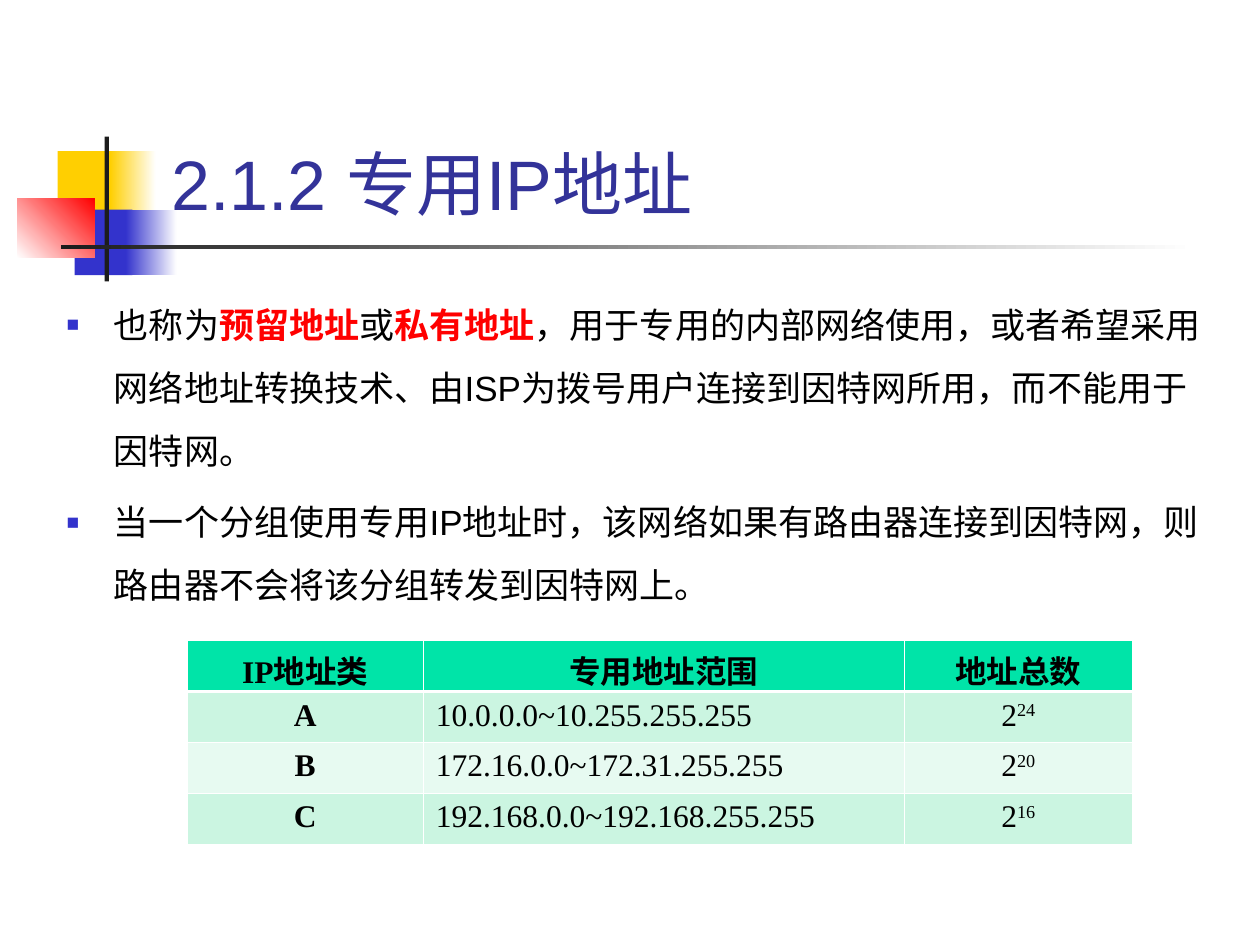
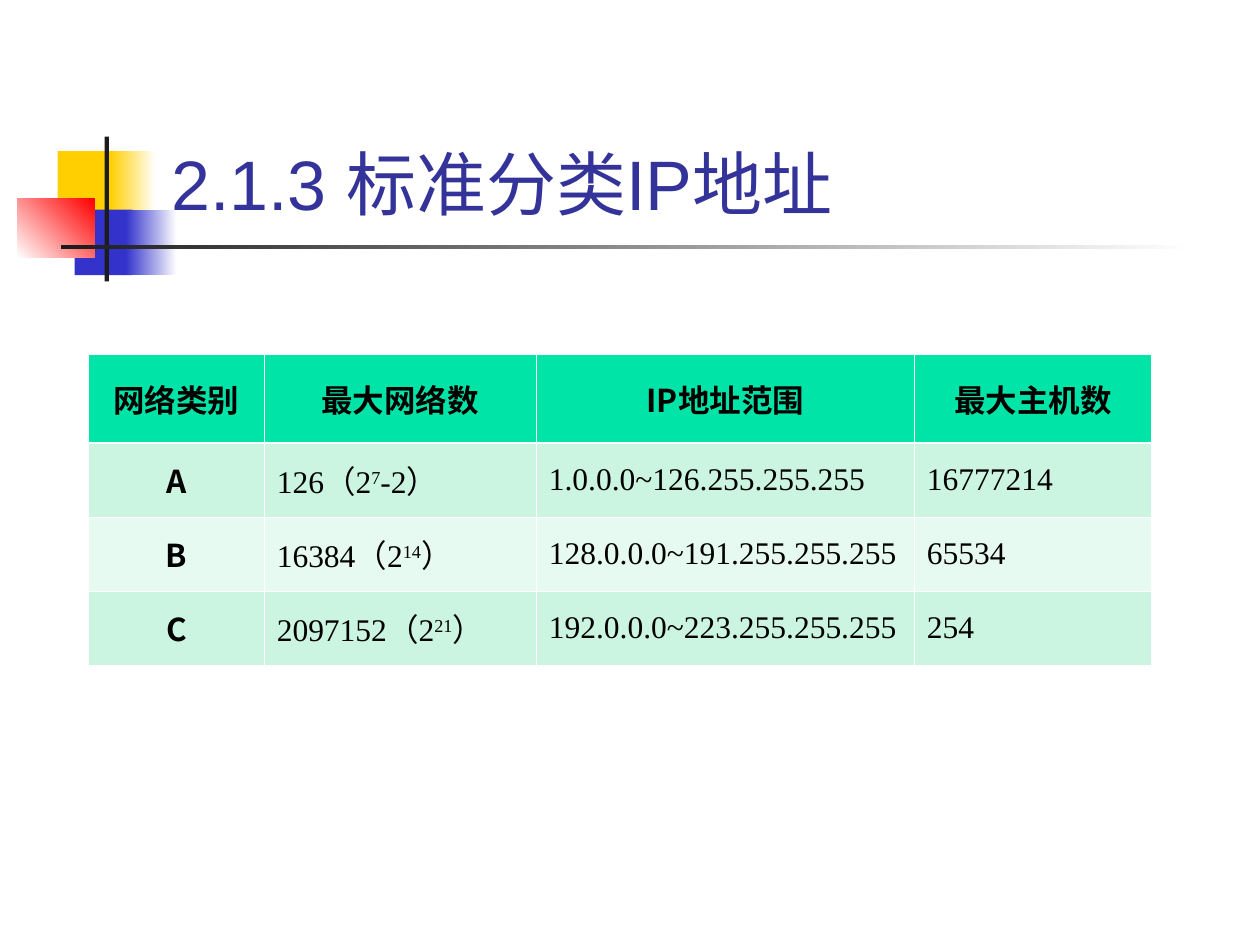
from dataclasses import dataclass

from lxml.etree import SubElement
from pptx import Presentation
from pptx.dml.color import RGBColor
from pptx.enum.shapes import MSO_SHAPE
from pptx.enum.text import MSO_ANCHOR, PP_ALIGN
from pptx.oxml.ns import qn
from pptx.util import Pt


@dataclass(frozen=True)
class Theme:
    title_color: str = "333399"
    text_color: str = "000000"
    emphasis: str = "FF0000"
    yellow: str = "FFCF01"
    blue: str = "3333CC"
    dark: str = "1C1C1C"
    white: str = "FFFFFF"
    header_fill: str = "00E4A8"
    row_fills: tuple = ("CBF5E1", "E7FAF1")
    sans: str = "Arial"
    serif: str = "Times New Roman"
    chinese: str = "Noto Sans CJK SC"
    title_size: int = 40
    body_size: int = 20
    table_size: int = 18
    indent: float = 27


THEME = Theme()

# Content: "*" encloses emphasised words, "^" encloses superscripts
PRIVATE_TITLE = "2.1.2 专用IP地址"
PRIVATE_POINTS = [
    "也称为*预留地址*或*私有地址*，用于专用的内部网络使用，或者希望采用网络地址转换技术、"
    "由ISP为拨号用户连接到因特网所用，而不能用于因特网。",
    "当一个分组使用专用IP地址时，该网络如果有路由器连接到因特网，则路由器不会将该分组转发到因特网上。",
]
PRIVATE_TABLE = {
    "rows": [
        ("IP地址类", "专用地址范围", "地址总数"),
        ("A", "10.0.0.0~10.255.255.255", "2^24^"),
        ("B", "172.16.0.0~172.31.255.255", "2^20^"),
        ("C", "192.168.0.0~192.168.255.255", "2^16^"),
    ],
    "position": (106.9, 365.8),
    "widths": (135, 275, 130),
    "heights": (29.4, 29, 29, 29),
    "centered": (0, 2),
    "label_font": THEME.serif,
    "anchor": MSO_ANCHOR.TOP,
}
CLASS_TITLE = "2.1.3 标准分类IP地址"
CLASS_TABLE = {
    "rows": [
        ("网络类别", "最大网络数", "IP地址范围", "最大主机数"),
        ("A", "126（2^7^-2）", "1.0.0.0~126.255.255.255", "16777214"),
        ("B", "16384（2^14^）", "128.0.0.0~191.255.255.255", "65534"),
        ("C", "2097152（2^21^）", "192.0.0.0~223.255.255.255", "254"),
    ],
    "position": (50.6, 202.6),
    "widths": (100.4, 155.5, 216, 135.4),
    "heights": (50.4, 42.4, 42.4, 42.4),
    "centered": (0,),
    "label_font": THEME.chinese,
    "anchor": MSO_ANCHOR.MIDDLE,
}

# Title ornament: left, top, width, height, colours, gradient angle
ORNAMENT = [
    (33, 86.4, 34.5, 37.4, (THEME.yellow,), 0),
    (63, 86.4, 26, 37.4, (THEME.yellow, THEME.white), 0),
    (42.7, 119.8, 33, 37.4, (THEME.blue,), 0),
    (72, 119.8, 29, 37.4, (THEME.blue, THEME.white), 0),
    (9.8, 113.6, 44.4, 33.6, (THEME.white, THEME.emphasis), 45),
    (59.8, 78, 2.5, 82.8, (THEME.dark,), 0),
    (34.8, 140, 648, 2.6, (THEME.dark, THEME.white), 0),
]


def rgb(value):
    return RGBColor.from_string(value)


def add_run(paragraph, text, *, size, font, color=THEME.text_color, bold=False, superscript=False):
    run = paragraph.add_run()
    run.text = text
    run.font.size = Pt(size)
    run.font.name = font
    run.font.bold = bold
    run.font.color.rgb = rgb(color)
    properties = run.font._element
    SubElement(properties, qn("a:ea")).set("typeface", THEME.chinese)
    if superscript:
        properties.set("baseline", "30000")


def set_hanging_indent(paragraph):
    properties = paragraph._p.get_or_add_pPr()
    properties.set("marL", str(Pt(THEME.indent)))
    properties.set("indent", str(-Pt(THEME.indent)))
    return properties


def add_bullet(paragraph):
    properties = set_hanging_indent(paragraph)
    color = SubElement(properties, qn("a:buClr"))
    SubElement(color, qn("a:srgbClr")).set("val", THEME.blue)
    SubElement(properties, qn("a:buSzPct")).set("val", "60000")
    SubElement(properties, qn("a:buFont")).set("typeface", THEME.sans)
    SubElement(properties, qn("a:buChar")).set("char", "■")


def add_ornament(slide):
    for left, top, width, height, colors, angle in ORNAMENT:
        shape = slide.shapes.add_shape(
            MSO_SHAPE.RECTANGLE, Pt(left), Pt(top), Pt(width), Pt(height))
        shape.shadow.inherit = False
        shape.line.fill.background()
        if len(colors) == 1:
            shape.fill.solid()
            shape.fill.fore_color.rgb = rgb(colors[0])
            continue
        shape.fill.gradient()
        shape.fill.gradient_angle = angle
        for stop, color in zip(shape.fill.gradient_stops, colors):
            stop.color.rgb = rgb(color)


def add_titled_slide(presentation, text):
    slide = presentation.slides.add_slide(presentation.slide_layouts[5])
    add_ornament(slide)
    title = slide.shapes.title
    slide.shapes._spTree.append(title._element)  # in front of the ornament
    title.left, title.top, title.width, title.height = Pt(90.7), Pt(16.6), Pt(613.4), Pt(115.2)
    title.text_frame.vertical_anchor = MSO_ANCHOR.BOTTOM
    paragraph = title.text_frame.paragraphs[0]
    paragraph.alignment = PP_ALIGN.LEFT
    add_run(paragraph, text, size=THEME.title_size, font=THEME.sans, color=THEME.title_color)
    return slide


def add_points(slide, points):
    frame = slide.shapes.add_textbox(Pt(31), Pt(157.7), Pt(663), Pt(306)).text_frame
    frame.word_wrap = True
    for index, point in enumerate(points):
        paragraph = frame.paragraphs[0] if index == 0 else frame.add_paragraph()
        paragraph.line_spacing = 1.5
        if index:
            paragraph.space_before = Pt(5)
        add_bullet(paragraph)
        for part, text in enumerate(point.split("*")):
            strong = part % 2 == 1
            add_run(paragraph, text, size=THEME.body_size, font=THEME.sans, bold=strong,
                    color=THEME.emphasis if strong else THEME.text_color)


def set_borders(cell, row):
    properties = cell._tc.get_or_add_tcPr()
    thick_side = {0: "lnB", 1: "lnT"}.get(row)
    for index, side in enumerate(("lnL", "lnR", "lnT", "lnB")):
        line = properties.makeelement(qn(f"a:{side}"))
        line.set("w", str(Pt(1.47 if side == thick_side else 0.45)))
        fill = SubElement(line, qn("a:solidFill"))
        SubElement(fill, qn("a:srgbClr")).set("val", THEME.white)
        properties.insert(index, line)


def add_address_table(slide, *, rows, position, widths, heights, centered, label_font, anchor):
    left, top = position
    table = slide.shapes.add_table(
        len(rows), len(widths), Pt(left), Pt(top), Pt(sum(widths)), Pt(sum(heights))).table
    for column, width in zip(table.columns, widths):
        column.width = Pt(width)
    for row, (values, height) in enumerate(zip(rows, heights)):
        table.rows[row].height = Pt(height)
        for column, value in enumerate(values):
            cell = table.cell(row, column)
            cell.vertical_anchor = anchor
            cell.fill.solid()
            cell.fill.fore_color.rgb = rgb(
                THEME.row_fills[(row - 1) % 2] if row else THEME.header_fill)
            set_borders(cell, row)
            label = row == 0 or column == 0
            paragraph = cell.text_frame.paragraphs[0]
            set_hanging_indent(paragraph)
            if row == 0 or column in centered:
                paragraph.alignment = PP_ALIGN.CENTER
            for part, text in enumerate(value.split("^")):
                add_run(paragraph, text, size=THEME.table_size, bold=label,
                        font=label_font if label else THEME.serif, superscript=part % 2 == 1)


def main():
    presentation = Presentation()
    presentation.slide_width, presentation.slide_height = Pt(720), Pt(540)

    # Private addresses
    slide = add_titled_slide(presentation, PRIVATE_TITLE)
    add_points(slide, PRIVATE_POINTS)
    add_address_table(slide, **PRIVATE_TABLE)

    # Standard address classes
    slide = add_titled_slide(presentation, CLASS_TITLE)
    add_address_table(slide, **CLASS_TABLE)

    presentation.save("out.pptx")


if __name__ == "__main__":
    main()
